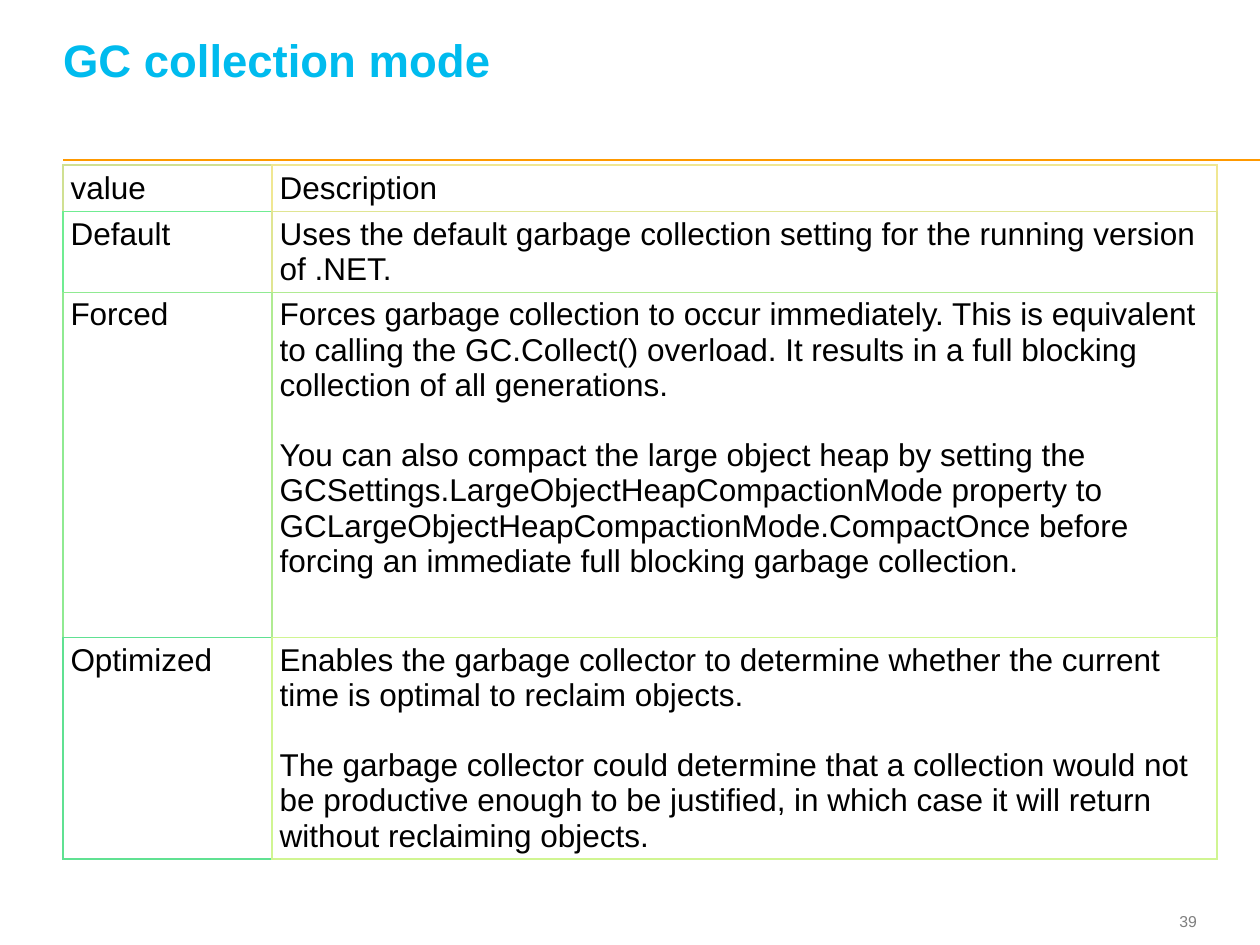
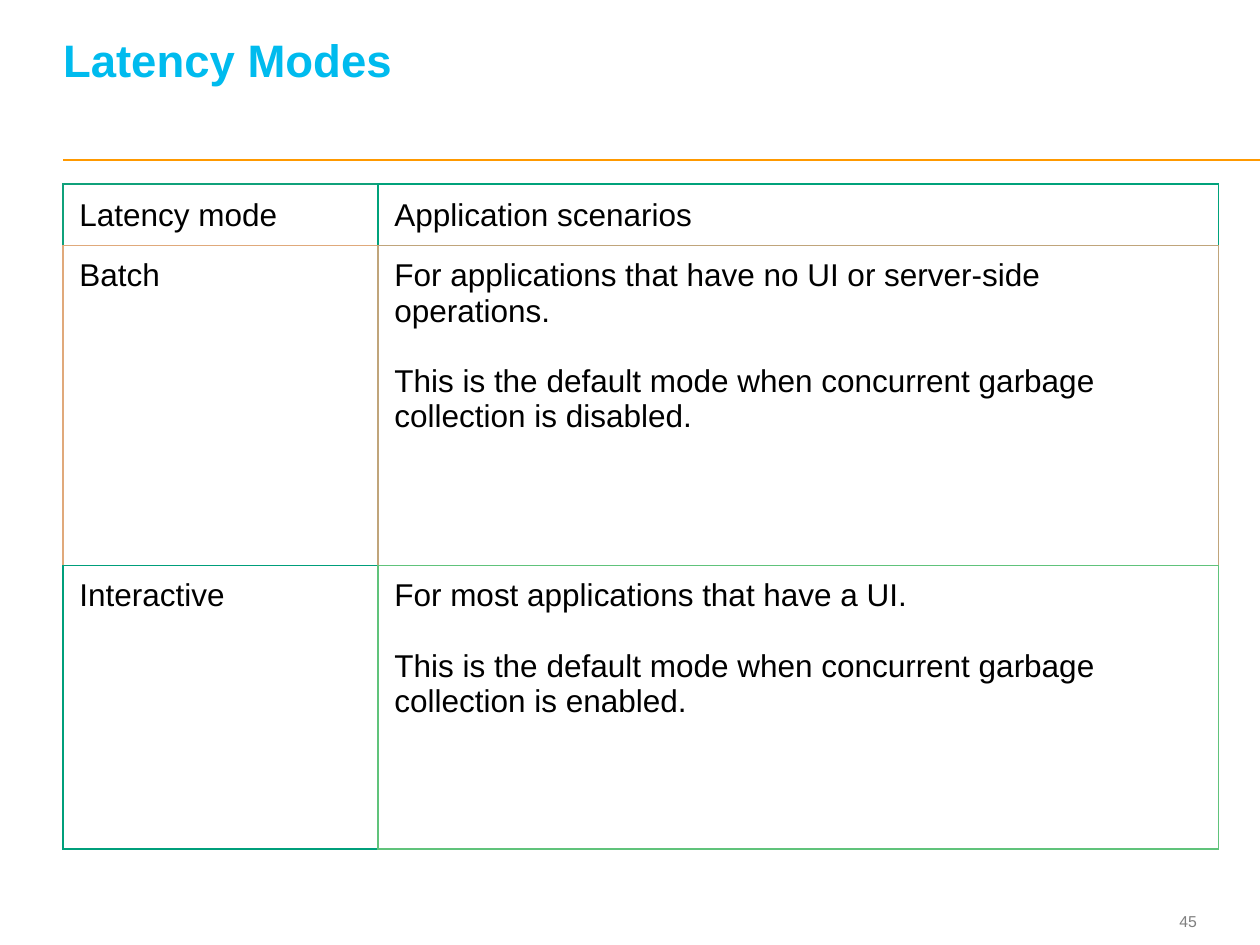
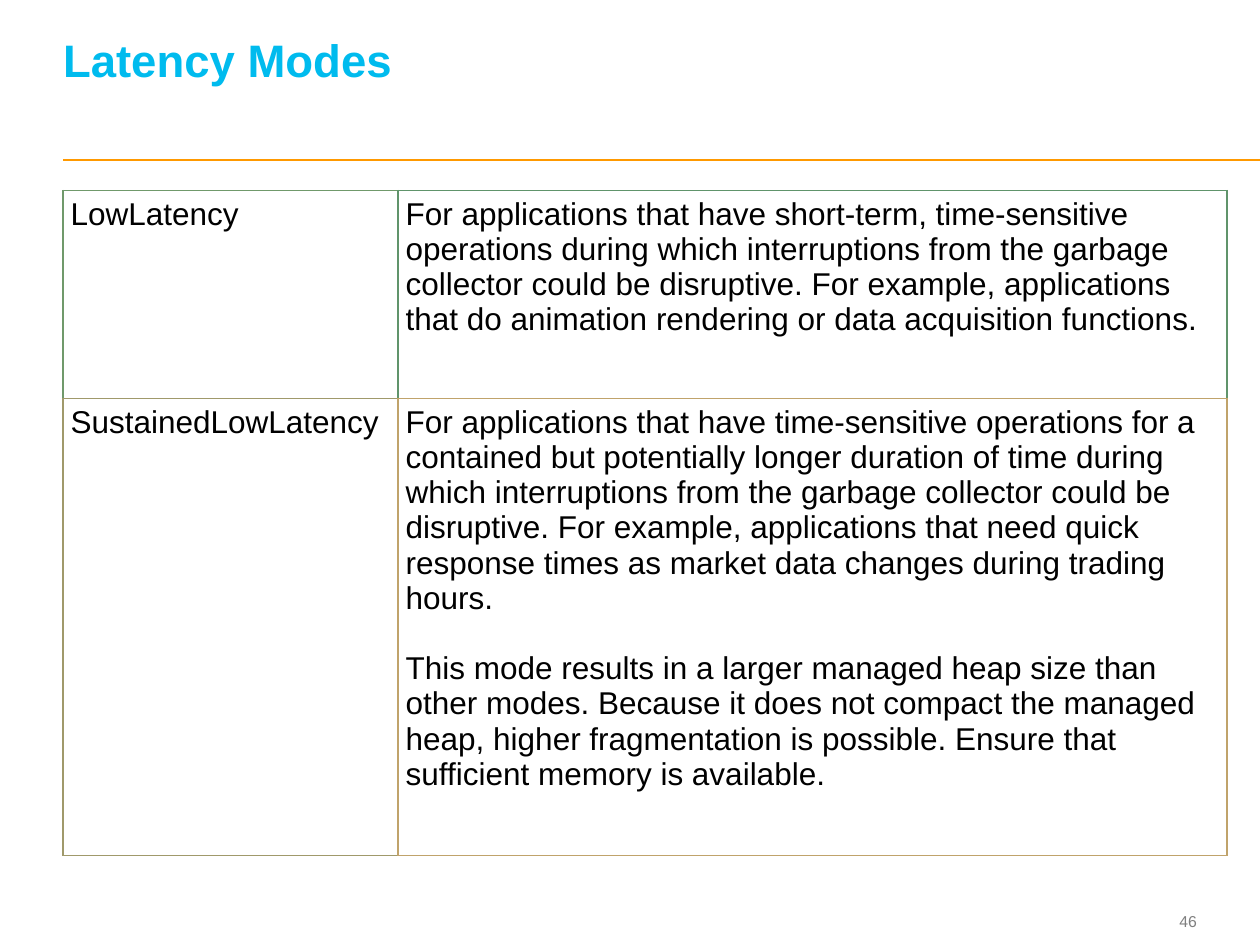
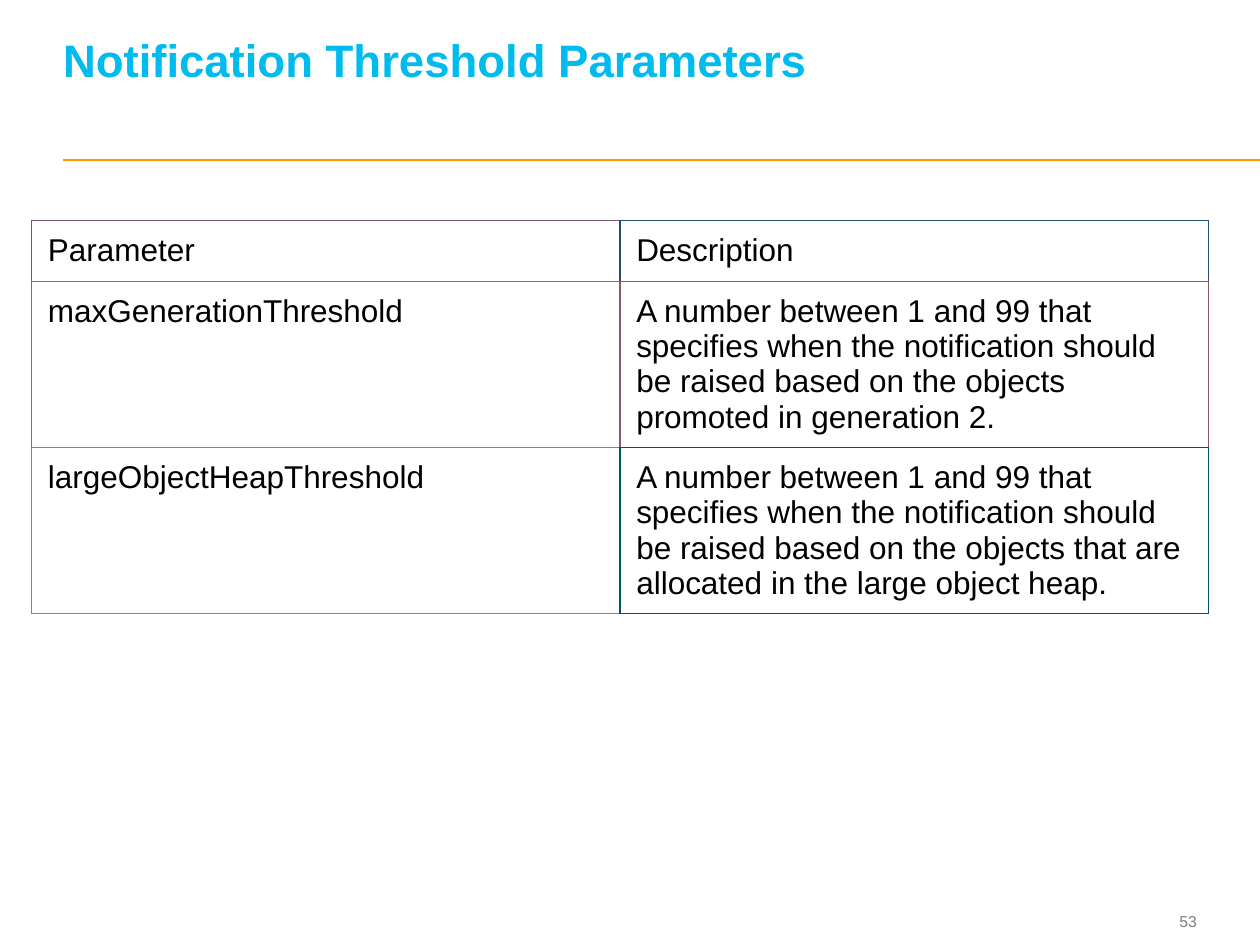
from dataclasses import dataclass

from lxml import etree
from pptx import Presentation
from pptx import util as u
from pptx.dml.color import RGBColor
from pptx.enum import shapes, text
from pptx.oxml.ns import qn


@dataclass(frozen=True)
class Theme:
    font: str = "Arial"
    title: str = "00BBEE"
    rule: str = "FF9900"
    number: str = "7F7F7F"
    body: str = "000000"
    cell: str = "FFFFFF"
    title_pt: float = 26
    body_pt: float = 18
    number_pt: float = 9
    gap_pt: float = 20
    line_pt: float = 1
    thin_pt: float = 0.6


theme = Theme()

# Each cell is (paragraphs, border colour); a border shared by two cells
# takes the colour of the cell to its right or below it.
pages = [
    dict(
        title="GC collection mode", number=39, at=(0.5, 1.31), header=True,
        inset=(0.06, 0.04), top_pt=theme.line_pt,
        cols=[1.66, 7.5], rows=[0.37, 0.64, 2.74, 1.76],
        cells=[
            [(["value"], "D0E092"), (["Description"], "F0E792")],
            [(["Default"], "70EC92"),
             (["Uses the default garbage collection setting for the running "
               "version of .NET."], "E0E592")],
            [(["Forced"], "90EA92"),
             (["Forces garbage collection to occur immediately. This is equivalent "
               "to calling the GC.Collect() overload. It results in a full blocking "
               "collection of all generations.",
               "You can also compact the large object heap by setting "
               "the GCSettings.LargeObjectHeapCompactionMode property "
               "to GCLargeObjectHeapCompactionMode.CompactOnce before "
               "forcing an immediate full blocking garbage collection."], "B0EB92")],
            [(["Optimized"], "60E192"),
             (["Enables the garbage collector to determine whether the current "
               "time is optimal to reclaim objects.",
               "The garbage collector could determine that a collection would not "
               "be productive enough to be justified, in which case it will return "
               "without reclaiming objects."], "D0F592")],
        ],
    ),
    dict(
        title="Latency Modes", number=45, at=(0.5, 1.46), header=True,
        inset=(0.13, 0.1), top_pt=theme.line_pt,
        cols=[2.5, 6.67], rows=[0.49, 2.54, 2.25],
        cells=[
            [(["Latency mode"], "10A17B"), (["Application scenarios"], "00A27B")],
            [(["Batch"], "E0A97B"),
             (["For applications that have no UI or server-side operations.",
               "This is the default mode when concurrent garbage collection is "
               "disabled."], "C0A57B")],
            [(["Interactive"], "009F7B"),
             (["For most applications that have a UI.",
               "This is the default mode when concurrent garbage collection is "
               "enabled."], "60C37B")],
        ],
    ),
    dict(
        title="Latency Modes", number=46, at=(0.5, 1.51), header=False,
        inset=(0.06, 0.05), top_pt=theme.thin_pt,
        cols=[2.66, 6.58], rows=[1.65, 3.63],
        cells=[
            [(["LowLatency"], "70996B"),
             (["For applications that have short-term, time-sensitive operations "
               "during which interruptions from the garbage collector could be "
               "disruptive. For example, applications that do animation rendering "
               "or data acquisition functions."], "60946B")],
            [(["SustainedLowLatency"], "A0996B"),
             (["For applications that have time-sensitive operations for a contained "
               "but potentially longer duration of time during which interruptions "
               "from the garbage collector could be disruptive. For example, "
               "applications that need quick response times as market data changes "
               "during trading hours.",
               "This mode results in a larger managed heap size than other modes. "
               "Because it does not compact the managed heap, higher fragmentation "
               "is possible. Ensure that sufficient memory is available."],
              "C0A36B")],
        ],
    ),
    dict(
        title="Notification Threshold Parameters", number=53, at=(0.25, 1.75),
        header=True, inset=(0.13, 0.1), top_pt=theme.line_pt,
        cols=[4.67, 4.67], rows=[0.48, 1.32, 1.32],
        cells=[
            [(["Parameter"], "805573"), (["Description"], "204F73")],
            [(["maxGenerationThreshold"], "B05873"),
             (["A number between 1 and 99 that specifies when the notification "
               "should be raised based on the objects promoted in generation 2."],
              "905473")],
            [(["largeObjectHeapThreshold"], "F05173"),
             (["A number between 1 and 99 that specifies when the notification "
               "should be raised based on the objects that are allocated in the "
               "large object heap."], "005473")],
        ],
    ),
]


def style(p, size, color, bold=False):
    for r in p.runs:
        r.font.name = theme.font
        r.font.size = u.Pt(size)
        r.font.bold = bold
        r.font.color.rgb = RGBColor.from_string(color)


def add_border(cell, side, color, width):
    """Draw one side (L, R, T or B) of a table cell."""
    ln = etree.SubElement(cell._tc.get_or_add_tcPr(), qn(f"a:ln{side}"),
                          w=str(int(u.Pt(width))))
    fill = etree.SubElement(ln, qn("a:solidFill"))
    etree.SubElement(fill, qn("a:srgbClr"), val=color)


prs = Presentation()
prs.slide_width, prs.slide_height = u.Inches(10), u.Inches(7.5)

for page in pages:
    s = prs.slides.add_slide(prs.slide_layouts[5])

    # Rule below the title
    rule = s.shapes.add_connector(shapes.MSO_CONNECTOR.STRAIGHT, u.Inches(0.5),
                                  u.Inches(1.27), u.Inches(10), u.Inches(1.27))
    rule.line.color.rgb = RGBColor.from_string(theme.rule)
    rule.line.width = u.Pt(theme.line_pt)
    etree.SubElement(rule._element.spPr, qn("a:effectLst"))

    # Title and slide number
    title = s.shapes.title
    title.left, title.top = u.Inches(0.5), u.Inches(0.19)
    title.width, title.height = u.Inches(8.97), u.Inches(0.86)
    number = s.shapes.add_textbox(u.Inches(8.91), u.Inches(7.18),
                                  u.Inches(0.59), u.Inches(0.27))
    for sp, words in ((title, page["title"]), (number, str(page["number"]))):
        tf = sp.text_frame
        tf.text = words
        tf.word_wrap = True
        tf.auto_size = text.MSO_AUTO_SIZE.NONE
        tf.margin_left = tf.margin_top = tf.margin_right = tf.margin_bottom = 0
    tf = title.text_frame
    tf.margin_bottom = u.Pt(theme.title_pt)  # one line kept free under the title
    tf.vertical_anchor = text.MSO_ANCHOR.BOTTOM
    p = tf.paragraphs[0]
    p.alignment = text.PP_ALIGN.LEFT
    p.line_spacing = u.Pt(theme.title_pt)
    style(p, theme.title_pt, theme.title, bold=True)
    number.text_frame.vertical_anchor = text.MSO_ANCHOR.MIDDLE
    p = number.text_frame.paragraphs[0]
    p.alignment = text.PP_ALIGN.RIGHT
    style(p, theme.number_pt, theme.number)

    # Table
    cols, rows, cells = page["cols"], page["rows"], page["cells"]
    left, top = page["at"]
    table = s.shapes.add_table(len(rows), len(cols), u.Inches(left), u.Inches(top),
                               u.Inches(sum(cols)), u.Inches(sum(rows))).table
    table.first_row = page["header"]
    table.horz_banding = False
    for column, width in zip(table.columns, cols):
        column.width = u.Inches(width)
    for row, height in zip(table.rows, rows):
        row.height = u.Inches(height)

    for i, line in enumerate(cells):
        for j, (paragraphs, color) in enumerate(line):
            cell = table.cell(i, j)
            last_row, last_col = i == len(rows) - 1, j == len(cols) - 1
            right = color if last_col else line[j + 1][1]
            below = color if last_row else cells[i + 1][j][1]
            add_border(cell, "L", color, theme.line_pt)
            add_border(cell, "R", right, theme.line_pt)
            add_border(cell, "T", color, theme.thin_pt if i else page["top_pt"])
            add_border(cell, "B", below, theme.line_pt if last_row else theme.thin_pt)
            cell.fill.solid()
            cell.fill.fore_color.rgb = RGBColor.from_string(theme.cell)

            across, down = page["inset"]
            cell.margin_left = cell.margin_right = u.Inches(across)
            cell.margin_top = cell.margin_bottom = u.Inches(down)
            is_header = page["header"] and i == 0
            cell.vertical_anchor = (text.MSO_ANCHOR.BOTTOM if is_header
                                    else text.MSO_ANCHOR.TOP)
            cell.text_frame.text = "\n".join(paragraphs)
            for k, p in enumerate(cell.text_frame.paragraphs):
                if k:
                    p.space_before = u.Pt(theme.gap_pt)
                style(p, theme.body_pt, theme.body)

prs.save("out.pptx")
